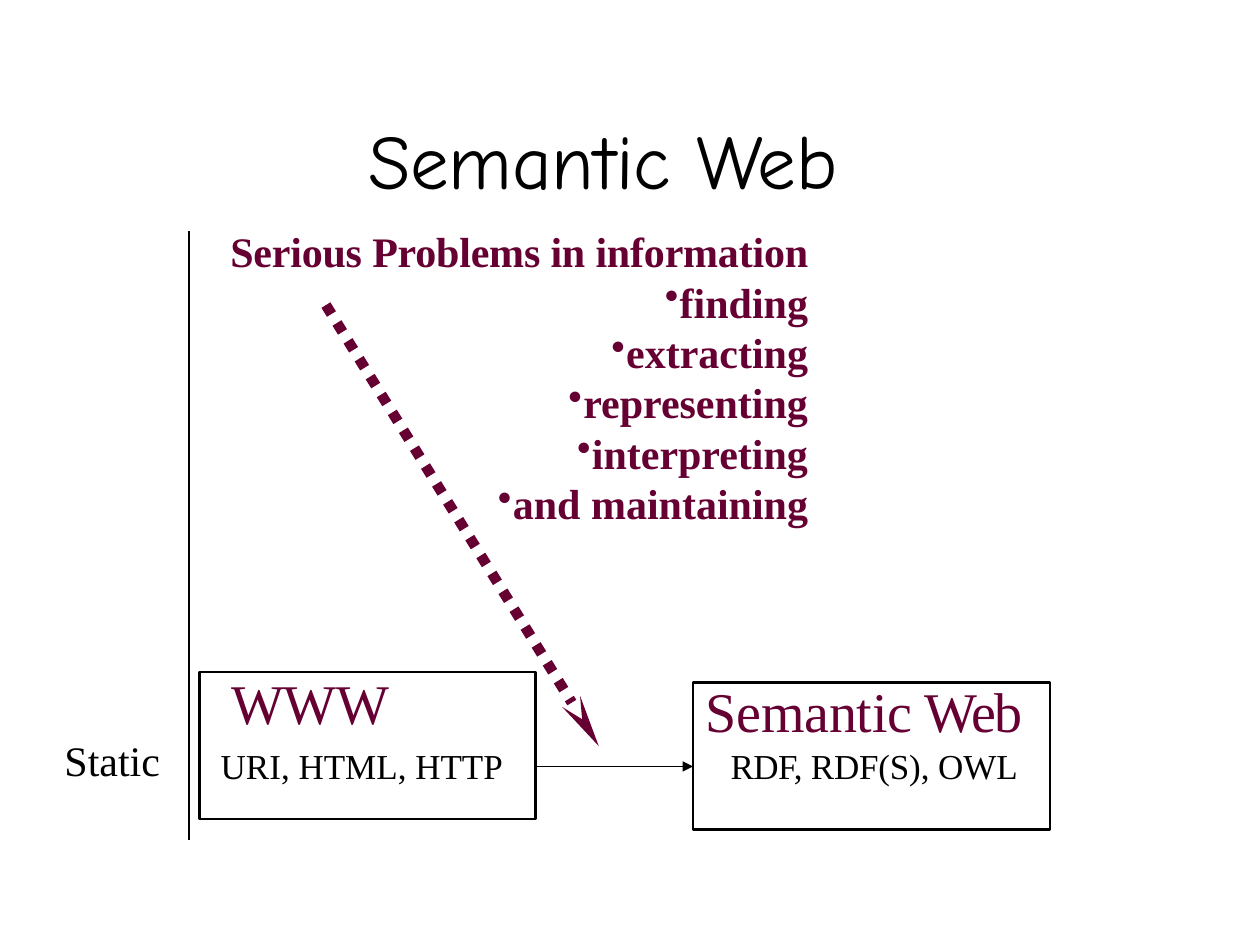
from lxml.etree import SubElement
from pptx import Presentation
from pptx.dml.color import RGBColor
from pptx.enum.dml import MSO_LINE
from pptx.enum.shapes import MSO_CONNECTOR, MSO_SHAPE
from pptx.enum.text import MSO_ANCHOR, PP_ALIGN
from pptx.oxml.ns import qn
from pptx.util import Cm, Pt

BLACK, PLUM = "000000", "660033"
SERIF, COMIC = "Times New Roman", "Comic Neue"

# Boxes are left, top, width, height in cm.
TITLE_BOX = (7.39, 2.24, 10.62, 1.93)
STATIC_BOX = (1.27, 14.78, 2.01, 1.09)
PROBLEMS_BOX = (4.45, 4.52, 11.84, 6.17)
PROBLEMS_HEADING = "Serious Problems in information"
PROBLEMS = ["finding", "extracting", "representing", "interpreting", "and maintaining"]

# Each line holds runs of (text, letter spacing in points), then its layout.
STAGES = [
    {"box": (4.02, 13.55, 6.78, 2.96),
     "name": [("WWW", 0)], "name_indent": 0.64, "name_line": 36.5,
     "standards": [("URI, HTML, HTTP", 0)], "standards_indent": 0.43, "gap": 4.8},
    {"box": (13.97, 13.76, 7.2, 2.96),
     "name": [("Semantic", -0.1), (" Web", -0.8)], "name_indent": 0.25, "name_line": 35,
     "standards": [("RDF, ", -0.4), ("RDF(S), ", -0.1), ("OWL", 0)],
     "standards_indent": 0.76, "gap": 0.3},
]

# Lines run from x, y to x, y in cm.
DIVIDER = (3.81, 4.66, 3.81, 16.93)
PROBLEM_ARROW = (6.57, 6.15, 12.07, 15.04)
STAGE_ARROW_Y = 15.45


def color(value):
    return RGBColor.from_string(value)


def set_frame(shape, top_inset=0):
    frame = shape.text_frame
    frame.word_wrap = True
    frame.vertical_anchor = MSO_ANCHOR.TOP
    frame.margin_left = frame.margin_right = frame.margin_bottom = 0
    frame.margin_top = Cm(top_inset)
    return frame


def add_text_box(slide, box):
    return set_frame(slide.shapes.add_textbox(*map(Cm, box)), 0.03)


def write(paragraph, runs, size, value, font=SERIF, bold=False, align=PP_ALIGN.LEFT,
          indent=0, line=None, before=0):
    paragraph.alignment = align
    paragraph.space_before = Pt(before)
    if line:
        paragraph.line_spacing = Pt(line)
    paragraph._p.get_or_add_pPr().set("marL", str(Cm(indent)))
    for text, spacing in runs:
        run = paragraph.add_run()
        run.text = text
        run.font.name = font
        run.font.size = Pt(size)
        run.font.bold = bold
        run.font.color.rgb = color(value)
        if spacing:
            run._r.get_or_add_rPr().set("spc", str(round(spacing * 100)))


def add_bullet(paragraph, hanging):
    properties = paragraph._p.get_or_add_pPr()
    properties.set("indent", str(-Cm(hanging)))
    SubElement(properties, qn("a:buSzPct"), val="96000")
    SubElement(properties, qn("a:buChar"), char="•")


def add_line(slide, ends, width, value, head=None, dash=None):
    """Add a straight line; head is (type, width, length) of its arrowhead."""
    connector = slide.shapes.add_connector(MSO_CONNECTOR.STRAIGHT, *map(Cm, ends))
    connector.line.width = Pt(width)
    connector.line.color.rgb = color(value)
    if dash:
        connector.line.dash_style = dash
    if head:
        SubElement(connector.line._get_or_add_ln(), qn("a:tailEnd"),
                   dict(zip(("type", "w", "len"), head)))
    SubElement(connector._element.spPr, qn("a:effectLst"))


def add_stage(slide, stage):
    rectangle = slide.shapes.add_shape(MSO_SHAPE.RECTANGLE, *map(Cm, stage["box"]))
    rectangle.shadow.inherit = False
    rectangle.fill.background()
    rectangle.line.color.rgb = color(BLACK)
    rectangle.line.width = Pt(1.5)
    frame = set_frame(rectangle)
    write(frame.paragraphs[0], stage["name"], 32, PLUM,
          indent=stage["name_indent"], line=stage["name_line"])
    write(frame.add_paragraph(), stage["standards"], 20, BLACK,
          indent=stage["standards_indent"], before=stage["gap"])


def add_problems(slide):
    frame = add_text_box(slide, PROBLEMS_BOX)
    style = {"bold": True, "align": PP_ALIGN.RIGHT, "line": 28.8}
    write(frame.paragraphs[0], [(PROBLEMS_HEADING, -0.1)], 24, PLUM, before=1, **style)
    for problem in PROBLEMS:
        paragraph = frame.add_paragraph()
        write(paragraph, [(problem, 0)], 24, PLUM, indent=0.3, **style)
        add_bullet(paragraph, 0.3)


def main():
    presentation = Presentation()
    presentation.slide_width, presentation.slide_height = Cm(25.4), Cm(19.05)
    slide = presentation.slides.add_slide(presentation.slide_layouts[6])

    write(add_text_box(slide, STATIC_BOX).paragraphs[0], [("Static", 0)], 24, BLACK,
          indent=0.03, before=1)
    for stage in STAGES:
        add_stage(slide, stage)
    add_line(slide, PROBLEM_ARROW, 6, PLUM, ("stealth", "sm", "lg"), MSO_LINE.ROUND_DOT)
    add_problems(slide)
    add_line(slide, DIVIDER, 0.75, BLACK)

    web, semantic_web = (stage["box"] for stage in STAGES)
    add_line(slide, (web[0] + web[2], STAGE_ARROW_Y, semantic_web[0], STAGE_ARROW_Y),
             0.75, BLACK, ("triangle", "med", "med"))
    write(add_text_box(slide, TITLE_BOX).paragraphs[0], [("Semantic ", -0.1), ("Web", 0)],
          44, BLACK, font=COMIC, indent=0.03, before=1)
    presentation.save("out.pptx")


if __name__ == "__main__":
    main()
